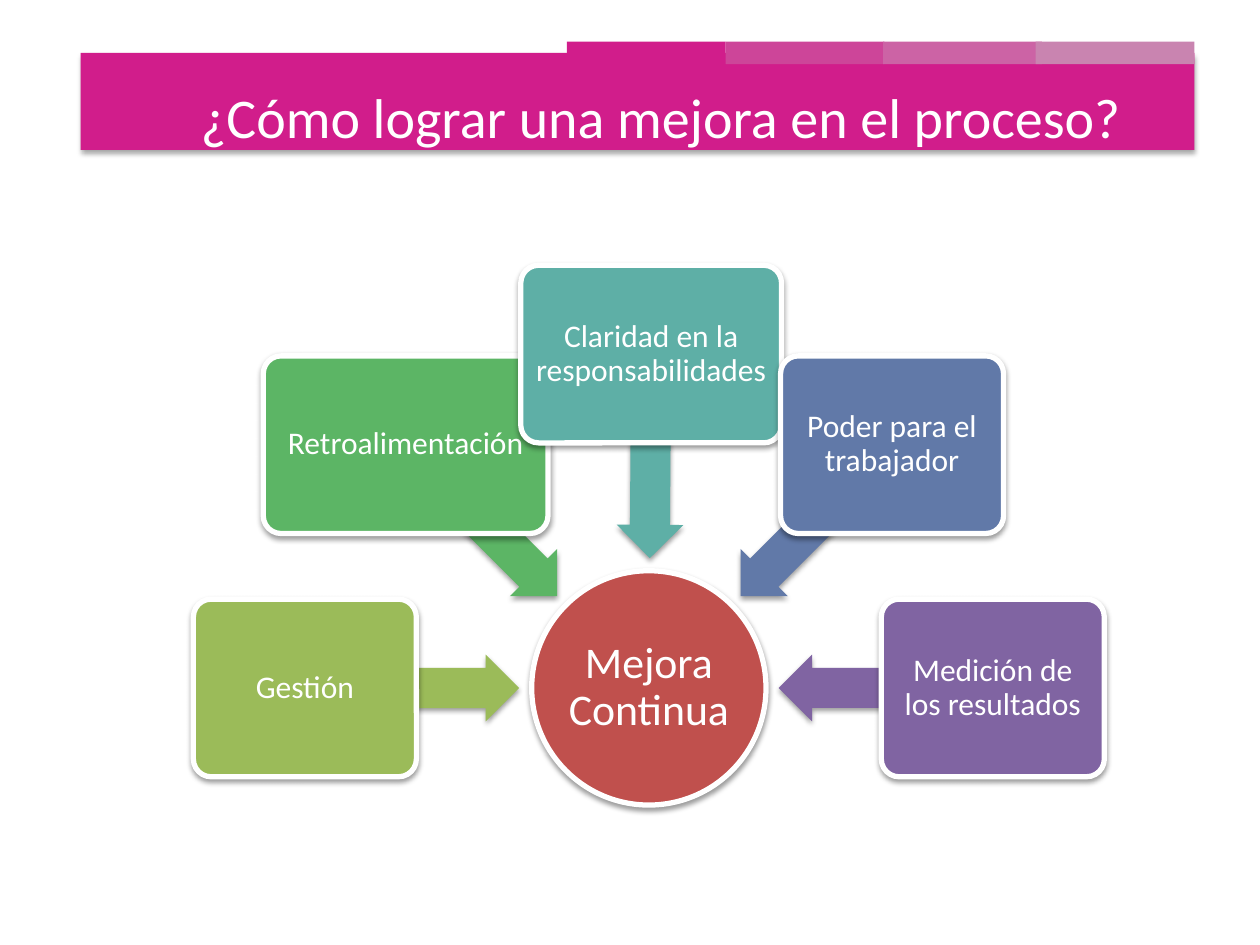
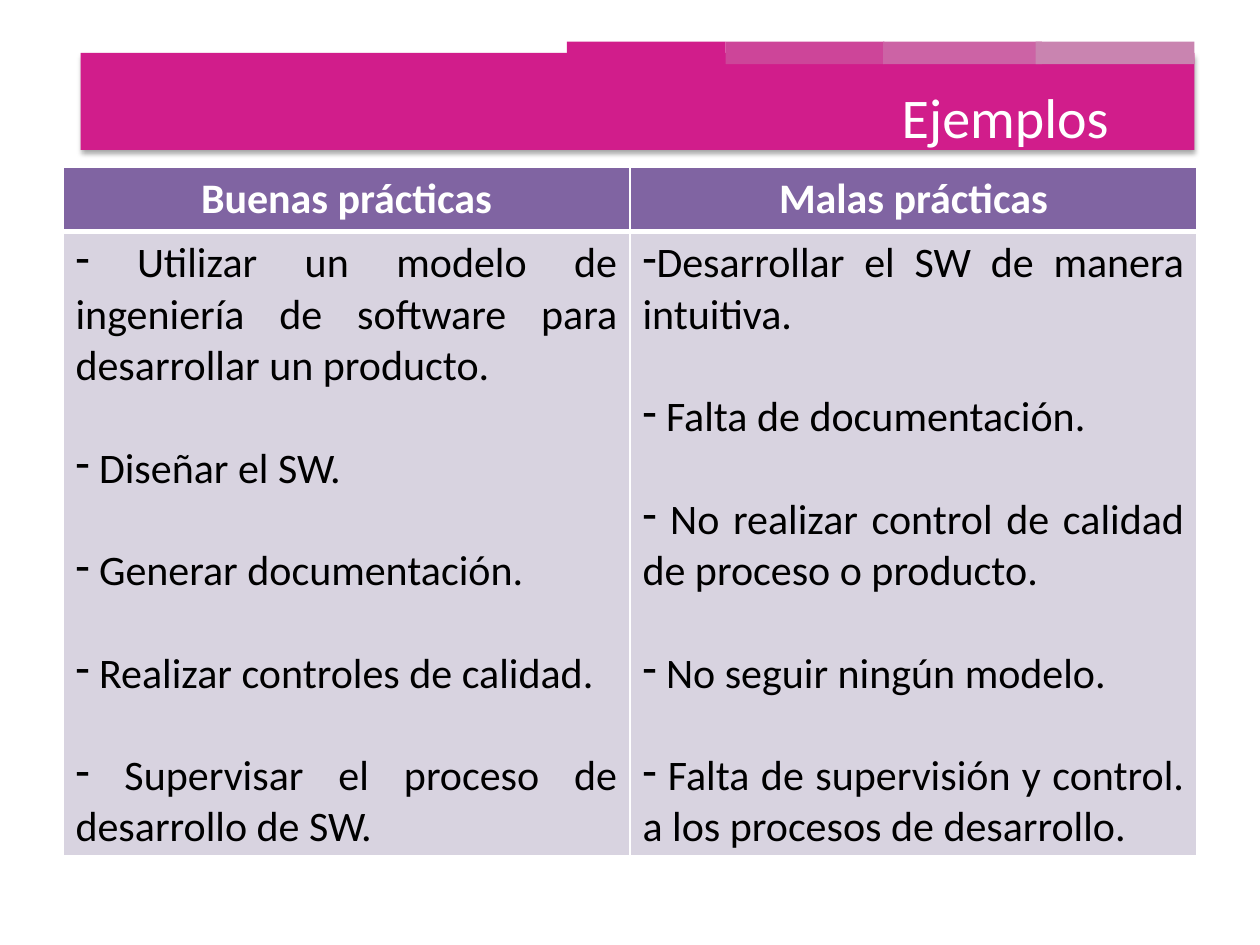
import math

import lxml.etree
import pptx
import pptx.dml.color
import pptx.enum.shapes
import pptx.enum.text
import pptx.oxml.ns
import pptx.util

Inches = pptx.util.Inches
Pt = pptx.util.Pt
qn = pptx.oxml.ns.qn
Preset = pptx.enum.shapes.MSO_SHAPE
Align = pptx.enum.text.PP_ALIGN
Anchor = pptx.enum.text.MSO_ANCHOR

COLORS = {
    "band": "D11D8B",
    "band_2": "CD4599",
    "band_3": "CC63A5",
    "band_4": "C984B0",
    "hub": "C0504D",
    "olive": "9BBB59",
    "green": "5CB565",
    "teal": "5EAFA6",
    "blue": "6179A8",
    "purple": "8064A2",
    "table_body": "D8D3E0",
    "white": "FFFFFF",
    "black": "000000",
}
TABS = [(4.5, "band"), (5.76, "band_2"), (7.01, "band_3"), (8.22, "band_4")]

HUB_X, HUB_Y, HUB_SIZE = 5.15, 5.46, 1.86
ARROW_GAP, ARROW_HEIGHT, BOX_HEIGHT = 1.03, 0.53, 1.41
SPOKES = [
    ("Gestión", 180, 2.73, 1.77, "olive"),
    ("Retroalimentación", 225, 2.73, 2.26, "green"),
    ("Claridad en la responsabilidades", 270.4, 2.65, 2.07, "teal"),
    ("Poder para el trabajador", 315, 2.73, 1.77, "blue"),
    ("Medición de los resultados", 0, 2.73, 1.77, "purple"),
]

PRACTICES = {
    "Buenas prácticas": [
        " Utilizar un modelo de ingeniería de software para desarrollar un producto.",
        " Diseñar el SW.",
        " Generar documentación.",
        " Realizar controles de calidad.",
        " Supervisar el proceso de desarrollo de SW.",
    ],
    "Malas prácticas": [
        "Desarrollar el SW de manera intuitiva.",
        " Falta de documentación.",
        " No realizar control de calidad de proceso o producto.",
        " No seguir ningún modelo.",
        " Falta de supervisión y control. a los procesos de desarrollo.",
    ],
}


def rgb(name):
    return pptx.dml.color.RGBColor.from_string(COLORS[name])


def add_xml(parent, tag, **attributes):
    element = lxml.etree.SubElement(parent, qn(tag))
    for key, value in attributes.items():
        element.set(key, str(value))
    return element


class SlideBuilder:
    font = "Calibri"

    def __init__(self, deck):
        self.deck = deck
        self.page = None

    def start(self, title):
        self.page = self.deck.slides.add_slide(self.deck.slide_layouts[6])
        self.shape(Preset.RECTANGLE, 0.64, 0.42, 8.84, 0.77, "band", shadow=35)
        for left, color in TABS:
            self.shape(Preset.RECTANGLE, left, 0.33, 1.26, 0.18, color)
        box = self.page.shapes.add_textbox(0, Inches(0.3), Inches(9), Inches(1.25))
        self.text(box, title, 32, Align.RIGHT)

    def style(self, paragraph, size, color, align, bold=False):
        paragraph.alignment = align
        paragraph.font.name = self.font
        paragraph.font.size = Pt(size)
        paragraph.font.bold = bold
        paragraph.font.color.rgb = rgb(color)

    def text(self, shape, words, size, align):
        frame = shape.text_frame
        frame.word_wrap = True
        frame.vertical_anchor = Anchor.MIDDLE
        paragraph = frame.paragraphs[0]
        paragraph.text = words
        self.style(paragraph, size, "white", align)

    def label(self, shape, words, size, inset):
        self.text(shape, words, size, Align.CENTER)
        frame = shape.text_frame
        frame.margin_left = frame.margin_right = Inches(inset)
        frame.margin_top = frame.margin_bottom = Inches(inset)
        frame.paragraphs[0].line_spacing = 0.9

    def shape(self, preset, left, top, width, height, color, outlined=False, shadow=0):
        shape = self.page.shapes.add_shape(
            preset, Inches(left), Inches(top), Inches(width), Inches(height))
        shape.shadow.inherit = False
        shape.fill.solid()
        shape.fill.fore_color.rgb = rgb(color)
        if outlined:
            shape.line.color.rgb = rgb("white")
            shape.line.width = Pt(3)
        else:
            shape.line.fill.background()
        if shadow:
            effects = shape._element.spPr.find(qn("a:effectLst"))
            outer = add_xml(effects, "a:outerShdw", blurRad=Pt(3.1), dist=Pt(1.7),
                            dir=5400000, rotWithShape=0)
            tint = add_xml(outer, "a:srgbClr", val=COLORS["black"])
            add_xml(tint, "a:alpha", val=shadow * 1000)
        return shape

    def centered(self, preset, x, y, width, height, color, outlined=False):
        return self.shape(preset, x - width / 2, y - height / 2, width, height,
                          color, outlined, shadow=38)

    def hub(self, words):
        circle = self.centered(Preset.OVAL, HUB_X, HUB_Y, HUB_SIZE, HUB_SIZE, "hub", True)
        self.label(circle, words, 25, 0.02)

    def spoke(self, words, angle, reach, width, color):
        across, down = math.cos(math.radians(angle)), math.sin(math.radians(angle))
        length = reach - ARROW_GAP
        middle = reach - length / 2
        arrow = self.centered(Preset.LEFT_ARROW, HUB_X + middle * across,
                              HUB_Y + middle * down, length, ARROW_HEIGHT, color)
        arrow.adjustments[0] = 0.6
        arrow.adjustments[1] = 0.5
        arrow.rotation = angle
        box = self.centered(Preset.ROUNDED_RECTANGLE, HUB_X + reach * across,
                            HUB_Y + reach * down, width, BOX_HEIGHT, color, True)
        box.adjustments[0] = 0.1
        self.label(box, words, 18, 0.04)

    def cell(self, cell, color, top, bottom):
        cell.fill.solid()
        cell.fill.fore_color.rgb = rgb(color)
        properties = cell._tc.get_or_add_tcPr()
        edges = {"a:lnL": 1, "a:lnR": 1, "a:lnT": top, "a:lnB": bottom}
        for position, (tag, width) in enumerate(edges.items()):
            line = add_xml(properties, tag, w=Pt(width))
            add_xml(add_xml(line, "a:solidFill"), "a:srgbClr", val=COLORS["white"])
            properties.insert(position, line)

    def table(self, columns):
        table = self.page.shapes.add_table(
            2, len(columns), Inches(0.5), Inches(1.33), Inches(9), Inches(5.46)).table
        table.rows[0].height = Inches(0.51)
        table.rows[1].height = Inches(4.95)
        for column, (heading, items) in enumerate(columns.items()):
            header, body = table.cell(0, column), table.cell(1, column)
            self.cell(header, "purple", 1, 3)
            self.cell(body, "table_body", 3, 1)
            header.text = heading
            self.style(header.text_frame.paragraphs[0], 24, "white", Align.CENTER, True)
            body.text = "\n".join(items)
            for index, paragraph in enumerate(body.text_frame.paragraphs):
                add_xml(paragraph._p.get_or_add_pPr(), "a:buChar", char="-")
                self.style(paragraph, 24, "black", Align.JUSTIFY)
                if index:
                    paragraph.space_before = Pt(29.3)


def main():
    deck = pptx.Presentation()
    deck.slide_width = Inches(10)
    deck.slide_height = Inches(7.5)
    builder = SlideBuilder(deck)

    builder.start("¿Cómo lograr una mejora en el proceso?")
    builder.hub("Mejora Continua")
    for spoke in SPOKES:
        builder.spoke(*spoke)

    builder.start("Ejemplos ")
    builder.table(PRACTICES)

    deck.save("out.pptx")


if __name__ == "__main__":
    main()
